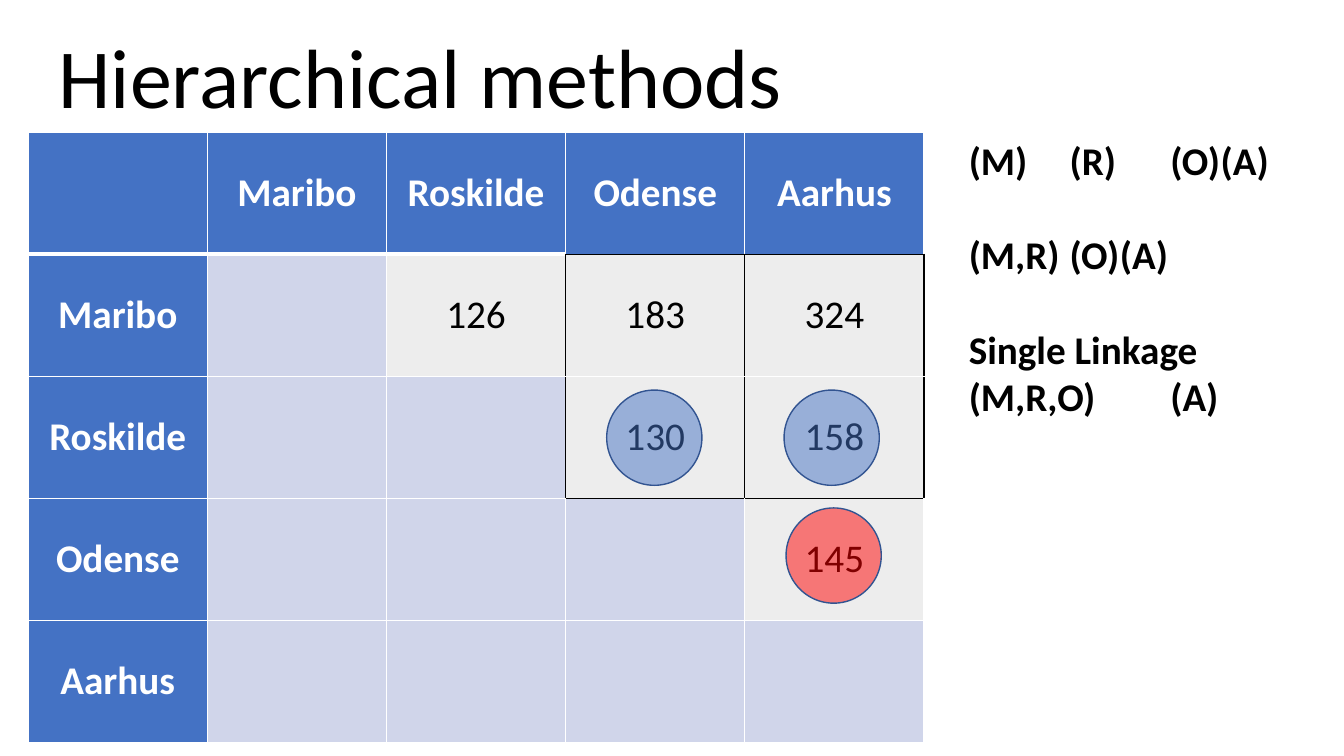
from lxml.etree import SubElement
from pptx import Presentation
from pptx.dml.color import RGBColor
from pptx.enum.shapes import MSO_SHAPE
from pptx.enum.text import MSO_ANCHOR, MSO_AUTO_SIZE, PP_ALIGN
from pptx.oxml.ns import qn
from pptx.util import Cm, Pt

COLORS = {
    "text": "000000", "white": "FFFFFF", "frame": "000000", "header": "4472C4",
    "empty": "D0D5EA", "value": "EDEDED", "candidate": "4472C4",
    "minimum": "FF0000", "outline": "325491",
}
CITIES = ["Maribo", "Roskilde", "Odense", "Aarhus"]
DISTANCES = {(1, 2): 126, (1, 3): 183, (1, 4): 324,
             (2, 3): 130, (2, 4): 158, (3, 4): 145}
CLUSTER_STEPS = [("(M)\t(R)\t\t(O)\t(A)", 0), ("(M,R)\t(O)\t(A)", 34),
                 ("Single Linkage", 34), ("(M,R,O)\t\t(A)", 0)]
MARKS = [(15.29, 9.83, "candidate"), (19.76, 9.83, "candidate"),
         (19.81, 12.8, "minimum")]


class ClusterSlide:
    """Hold the style and the current slide, and add each kind of element."""

    font_name = "Calibri"
    body_size = 28

    def __init__(self, deck):
        self.slide = deck.slides.add_slide(deck.slide_layouts[1])

    def color(self, key):
        return RGBColor.from_string(COLORS[key])

    def add_text(self, paragraph, text, size, color="text", bold=False):
        run = paragraph.add_run()
        run.text = text
        run.font.name = self.font_name
        run.font.size = Pt(size)
        run.font.bold = bold
        run.font.color.rgb = self.color(color)

    def place(self, placeholder, left, top, width, height):
        placeholder.left, placeholder.top = Cm(left), Cm(top)
        placeholder.width, placeholder.height = Cm(width), Cm(height)
        frame = placeholder.text_frame
        frame.word_wrap = False
        frame.auto_size = MSO_AUTO_SIZE.SHAPE_TO_FIT_TEXT
        frame.vertical_anchor = MSO_ANCHOR.TOP
        return frame

    def title(self, text):
        frame = self.place(self.slide.shapes.title, 1.22, 0.48, 18.92, 2.82)
        heading = frame.paragraphs[0]
        heading.alignment = PP_ALIGN.LEFT
        self.add_text(heading, text, 60)

    def steps(self, lines):
        frame = self.place(self.slide.placeholders[1], 24.16, 3.3, 9.45, 11.02)
        for index, (text, gap) in enumerate(lines):
            step = frame.add_paragraph() if index else frame.paragraphs[0]
            properties = step._p.get_or_add_pPr()
            properties.set("marL", "0")
            properties.set("indent", "0")
            SubElement(properties, qn("a:buNone"))
            step.alignment = PP_ALIGN.LEFT
            step.space_before = Pt(gap)
            self.add_text(step, text, self.body_size, bold=True)

    def border(self, cell, side, color, width):
        line = SubElement(cell._tc.get_or_add_tcPr(), qn(f"a:{side}"),
                          w=str(Pt(width)))
        fill = SubElement(line, qn("a:solidFill"))
        SubElement(fill, qn("a:srgbClr"), val=COLORS[color])

    def borders(self, cell, row, column):
        for side, edge in (("lnL", column), ("lnR", column + 1)):
            framed = row in (1, 2) and edge in (3, 4, 5)
            self.border(cell, side, "frame" if framed else "white", 1)
        for side, edge in (("lnT", row), ("lnB", row + 1)):
            framed = column in (3, 4) and edge in (1, 3)
            width = 3 if edge == 1 and not framed else 1
            self.border(cell, side, "frame" if framed else "white", width)

    def distance_table(self, cities, distances):
        count = len(cities) + 1
        table = self.slide.shapes.add_table(
            count, count, Cm(0.71), Cm(3.33), Cm(22.58), Cm(15.37)).table
        table.first_row = table.horz_banding = False
        labels = [""] + cities
        for row in range(count):
            for column in range(count):
                cell = table.cell(row, column)
                header = row == 0 or column == 0
                text = (labels[row or column] if header
                        else str(distances.get((row, column), "")))
                self.borders(cell, row, column)
                cell.fill.solid()
                cell.fill.fore_color.rgb = self.color(
                    "header" if header else "value" if text else "empty")
                cell.vertical_anchor = MSO_ANCHOR.MIDDLE
                if text:
                    paragraph = cell.text_frame.paragraphs[0]
                    paragraph.alignment = PP_ALIGN.CENTER
                    self.add_text(paragraph, text, self.body_size,
                                  "white" if header else "text", header)

    def mark(self, left, top, color):
        circle = self.slide.shapes.add_shape(
            MSO_SHAPE.OVAL, Cm(left), Cm(top), Cm(2.4), Cm(2.4))
        circle.shadow.inherit = False
        circle.fill.solid()
        circle.fill.fore_color.rgb = self.color(color)
        tint = circle._element.spPr.find(qn("a:solidFill"))[0]
        SubElement(tint, qn("a:alpha"), val="50000")
        circle.line.color.rgb = self.color("outline")
        circle.line.width = Pt(1)


def main():
    deck = Presentation()
    deck.slide_width, deck.slide_height = Cm(33.87), Cm(19.05)
    page = ClusterSlide(deck)
    page.title("Hierarchical methods")
    page.distance_table(CITIES, DISTANCES)
    page.steps(CLUSTER_STEPS)
    for left, top, color in MARKS:
        page.mark(left, top, color)
    deck.save("out.pptx")


if __name__ == "__main__":
    main()
